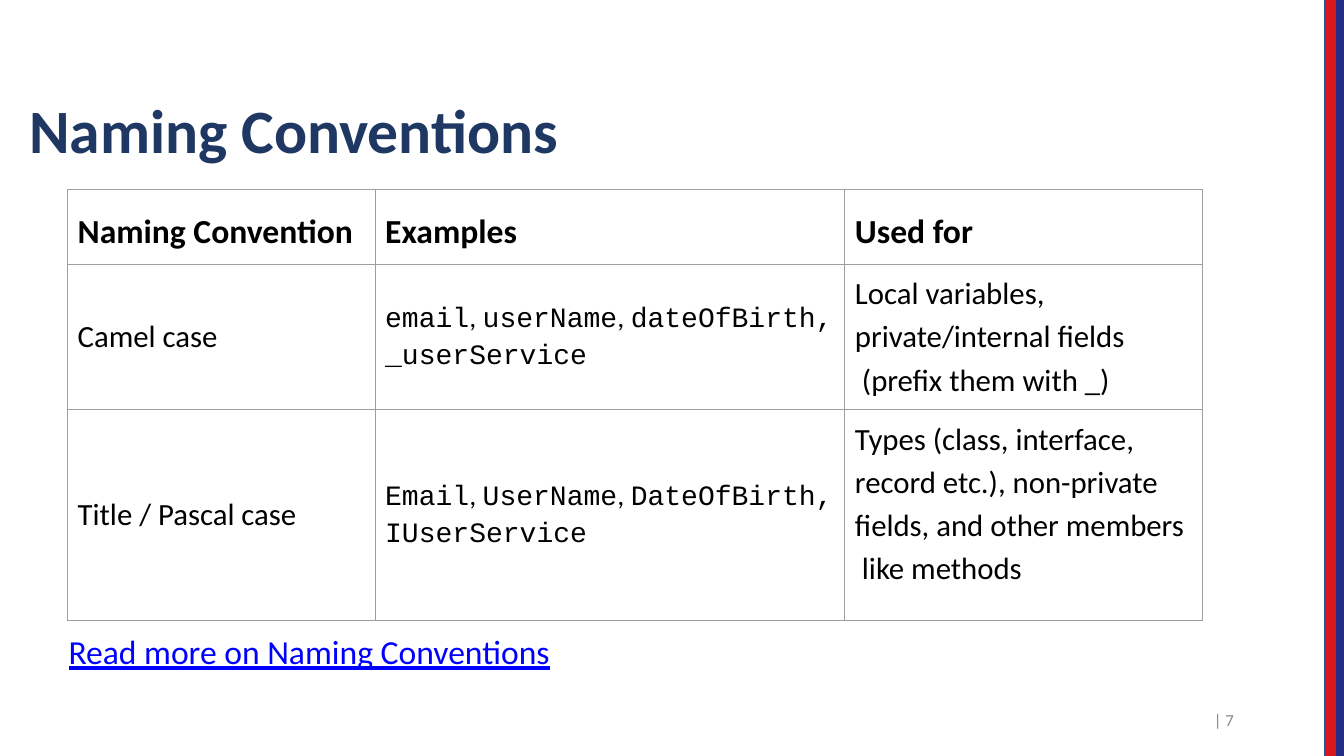
from lxml.etree import SubElement
from pptx import Presentation
from pptx.dml.color import RGBColor
from pptx.enum.shapes import MSO_CONNECTOR, MSO_SHAPE
from pptx.enum.text import MSO_ANCHOR
from pptx.oxml import parse_xml
from pptx.oxml.ns import nsdecls, qn
from pptx.util import Inches, Pt

SLIDE_W, SLIDE_H = 13.33, 7.5
MONO = "Courier New"
COLUMNS = [3.05, 4.66, 3.55]
ROWS = [0.74, 1.44, 2.1]
HEADERS = ["Naming Convention", "Examples", "Used for"]
CONVENTIONS = [
    ("Camel case",
     ["email", "userName", "dateOfBirth,"], "_userService",
     "Local variables,\vprivate/internal fields\v (prefix them with _)"),
    ("Title / Pascal case",
     ["Email", "UserName", "DateOfBirth,"], "IUserService",
     "Types (class, interface,\vrecord etc.), non-private\vfields, and other members\v like methods"),
]


def rgb(value):
    return RGBColor.from_string(value)


def add_text(p, text, size=22, color="000000", bold=False, underline=False, font="Calibri"):
    for i, line in enumerate(text.split("\v")):
        if i:
            p.add_line_break()
        r = p.add_run()
        r.text = line
        r.font.size = Pt(size)
        r.font.name = font
        r.font.bold = bold
        r.font.underline = underline
        r.font.color.rgb = rgb(color)


def add_label(s, box, text, top=0, line_spacing=None, **style):
    tf = s.shapes.add_textbox(*map(Inches, box)).text_frame
    tf.word_wrap = True
    tf.margin_left = tf.margin_right = tf.margin_bottom = 0
    tf.margin_top = Inches(top)
    p = tf.paragraphs[0]
    p.line_spacing = line_spacing
    add_text(p, text, **style)


def add_stripes(s, x, y, w, h):
    edge = s.shapes.add_connector(
        MSO_CONNECTOR.STRAIGHT, Inches(x - 0.01), Inches(y), Inches(x - 0.01), Inches(y + h))
    edge.line.color.rgb = rgb("30528F")
    edge.line.width = Pt(0.5)
    SubElement(edge._element.spPr, qn("a:effectLst"))
    for i, color in reversed(list(enumerate(["DA171F", "222C82"]))):
        sp = s.shapes.add_shape(
            MSO_SHAPE.RECTANGLE, Inches(x + i * w / 2), Inches(y), Inches(w / 2), Inches(h))
        sp.shadow.inherit = False
        sp.fill.solid()
        sp.fill.fore_color.rgb = rgb(color)
        sp.line.color.rgb = rgb(color)
        sp.line.width = Pt(1)


def format_cell(cell, top=0, anchor=MSO_ANCHOR.TOP):
    cell.margin_left = Inches(0.1)
    cell.margin_right = cell.margin_bottom = 0
    cell.margin_top = Inches(top)
    cell.vertical_anchor = anchor
    cell.fill.background()
    tcPr = cell._tc.get_or_add_tcPr()
    for i, side in enumerate("LRTB"):
        tcPr.insert(i, parse_xml(
            f'<a:ln{side} {nsdecls("a")} w="{Pt(0.75)}"><a:solidFill>'
            f'<a:srgbClr val="9E9E9E"/></a:solidFill></a:ln{side}>'))
    return cell.text_frame.paragraphs[0]


def add_conventions_table(s, x, y, w, h):
    table = s.shapes.add_table(
        len(ROWS), len(COLUMNS), Inches(x), Inches(y), Inches(w), Inches(h)).table
    table.first_row = table.horz_banding = False
    for column, width in zip(table.columns, COLUMNS):
        column.width = Inches(width)
    for row, height in zip(table.rows, ROWS):
        row.height = Inches(height)
    for i, header in enumerate(HEADERS):
        add_text(format_cell(table.cell(0, i), top=0.22), header, size=24, bold=True)
    for i, (name, examples, last_example, usage) in enumerate(CONVENTIONS, 1):
        add_text(format_cell(table.cell(i, 0), anchor=MSO_ANCHOR.MIDDLE), name)
        cell = table.cell(i, 1)
        p = format_cell(cell, anchor=MSO_ANCHOR.MIDDLE)
        for j, example in enumerate(examples):
            if j:
                add_text(p, ", ", size=20)
            add_text(p, example, size=20, font=MONO)
        p = cell.text_frame.add_paragraph()
        p.space_before = Pt(3.6)
        add_text(p, last_example, size=20, font=MONO)
        p = format_cell(table.cell(i, 2), top=0.06)
        p.line_spacing = 1.15
        add_text(p, usage)


def main():
    prs = Presentation()
    prs.slide_width, prs.slide_height = Inches(SLIDE_W), Inches(SLIDE_H)
    s = prs.slides.add_slide(prs.slide_layouts[6])
    add_stripes(s, SLIDE_W - 0.18, 0, 0.18, SLIDE_H)
    add_label(s, (0.29, 0.89, 5.6, 0.76), "Naming Conventions",
              top=0.02, size=44, color="1F3863", bold=True)
    add_conventions_table(s, 0.67, 1.88, sum(COLUMNS), sum(ROWS))
    add_label(s, (0.68, 6.24, 5, 0.43), "Read more on Naming Conventions",
              top=0.02, size=24, color="0000FF", underline=True)
    add_label(s, (12.04, 7.07, 0.33, 0.19), "| 7",
              line_spacing=Pt(12.4), size=12, color="878787")
    prs.save("out.pptx")


if __name__ == "__main__":
    main()
